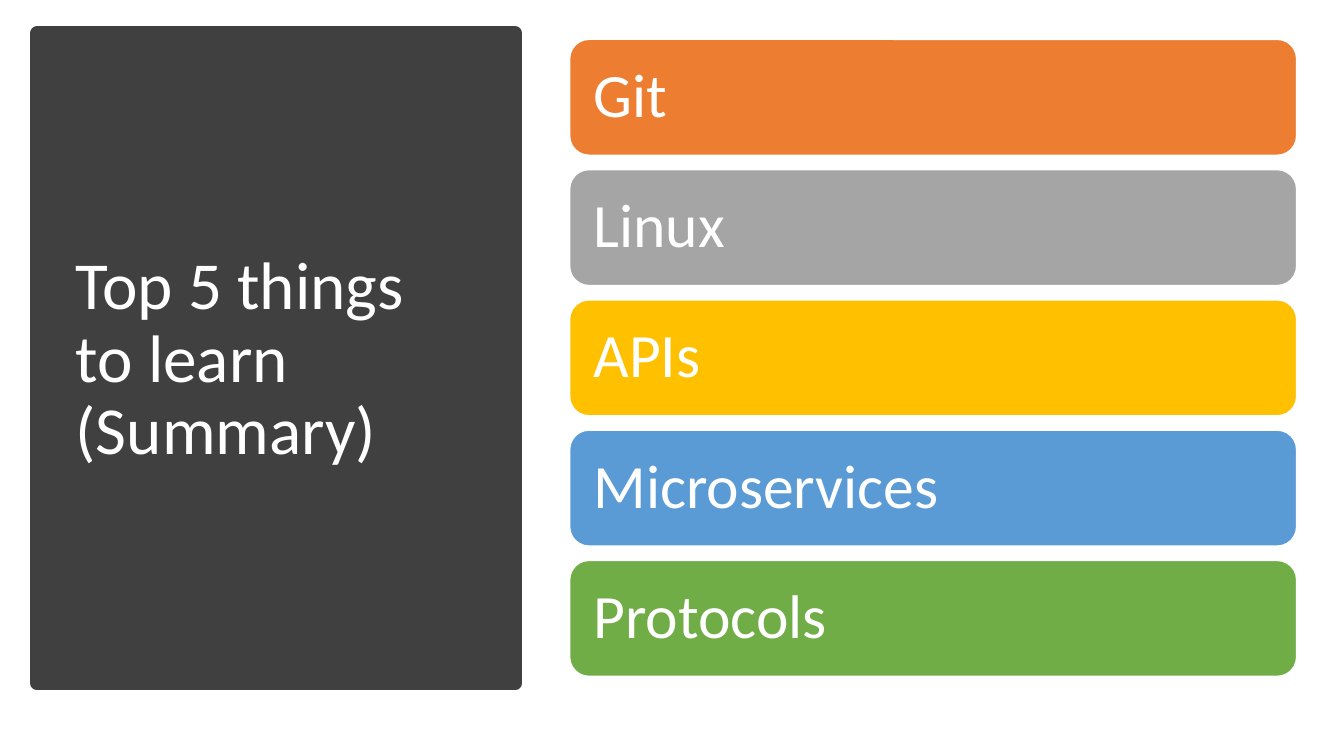
from dataclasses import dataclass

from pptx import Presentation
from pptx.dml.color import RGBColor
from pptx.enum.shapes import MSO_SHAPE
from pptx.enum.text import MSO_ANCHOR, MSO_AUTO_SIZE, PP_ALIGN
from pptx.shapes.autoshape import Shape
from pptx.slide import Slide
from pptx.text.text import TextFrame
from pptx.util import Inches, Pt

RECT = MSO_SHAPE.RECTANGLE
ROUND = MSO_SHAPE.ROUNDED_RECTANGLE
MIDDLE = MSO_ANCHOR.MIDDLE
LEFT = PP_ALIGN.LEFT
NO_FIT = MSO_AUTO_SIZE.NONE


@dataclass(frozen=True)
class Theme:
    font: str = "Calibri"
    white: str = "FFFFFF"
    dark: str = "404040"
    title: int = 48
    topic: int = 44
    spacing: float = 0.9


@dataclass(frozen=True)
class Box:
    left: float
    top: float
    width: float
    height: float


@dataclass(frozen=True)
class Topic:
    name: str
    fill: str


THEME = Theme()
PANEL = Box(0.37, 0.33, 4.74, 6.45)
TITLE = Box(0.65, 0.7, 4.16, 5.75)
FIRST = Box(5.65, 0.39, 7.21, 1.15)
PITCH = 1.2925
INSET = 0.18
TOPICS = [
    Topic("Git", "ED7D31"),
    Topic("Linux", "A5A5A5"),
    Topic("APIs", "FFC000"),
    Topic("Microservices", "5B9BD5"),
    Topic("Protocols", "70AD47"),
]


def place(shape: Shape, box: Box) -> None:
    shape.left, shape.top = Inches(box.left), Inches(box.top)
    shape.width, shape.height = Inches(box.width), Inches(box.height)


def add_block(slide: Slide, kind: MSO_SHAPE, box: Box, fill: str, line: str) -> Shape:
    block = slide.shapes.add_shape(kind, 0, 0, 0, 0)
    place(block, box)
    block.shadow.inherit = False
    block.fill.solid()
    block.fill.fore_color.rgb = RGBColor.from_string(fill)
    block.line.color.rgb = RGBColor.from_string(line)
    block.line.width = Pt(1)
    return block


def write(frame: TextFrame, text: str, size: int) -> None:
    frame.word_wrap = True
    frame.auto_size = NO_FIT
    frame.vertical_anchor = MIDDLE
    para = frame.paragraphs[0]
    para.alignment = LEFT
    para.line_spacing = THEME.spacing
    run = para.add_run()
    run.text = text
    run.font.name = THEME.font
    run.font.size = Pt(size)
    run.font.color.rgb = RGBColor.from_string(THEME.white)


def add_title(slide: Slide, text: str) -> None:
    panel = add_block(slide, RECT, PANEL, THEME.dark, THEME.dark)
    panel.line.width = Pt(10)
    title = slide.shapes.title
    place(title, TITLE)
    title.text_frame.margin_right = Inches(0.2)
    write(title.text_frame, text, THEME.title)
    panel.element.addnext(title.element)


def add_topic(slide: Slide, topic: Topic, row: int) -> None:
    box = Box(FIRST.left, FIRST.top + row * PITCH, FIRST.width, FIRST.height)
    bar = add_block(slide, ROUND, box, topic.fill, THEME.white)
    frame = bar.text_frame
    frame.margin_left = frame.margin_right = Inches(INSET)
    frame.margin_top = frame.margin_bottom = Inches(INSET)
    write(frame, topic.name, THEME.topic)


def main() -> None:
    deck = Presentation()
    deck.slide_width, deck.slide_height = Inches(13.33), Inches(7.5)
    slide = deck.slides.add_slide(deck.slide_layouts[5])
    add_title(slide, "Top 5 things to learn (Summary)")
    for row, topic in enumerate(TOPICS):
        add_topic(slide, topic, row)
    deck.save("out.pptx")


if __name__ == "__main__":
    main()
